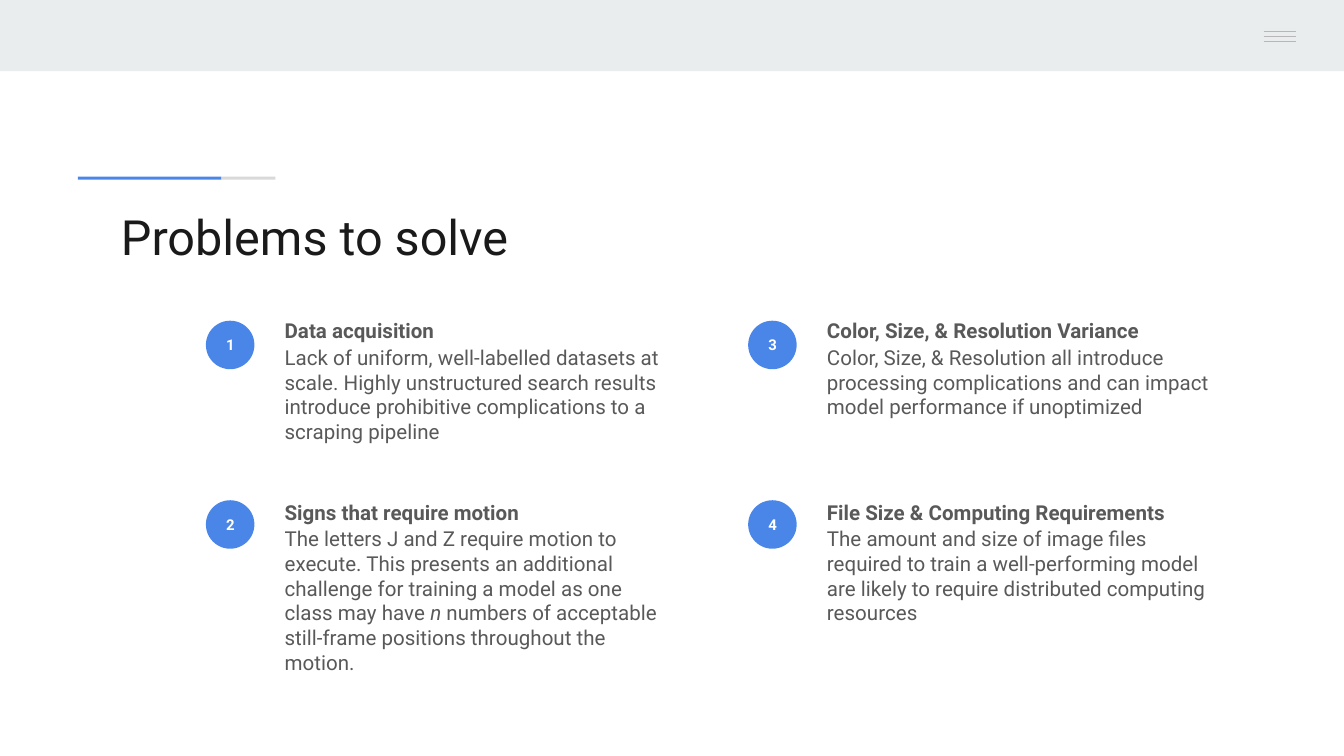
from pptx import Presentation
from pptx.dml.color import RGBColor
from pptx.enum.shapes import MSO_CONNECTOR, MSO_SHAPE
from pptx.enum.text import MSO_ANCHOR, MSO_AUTO_SIZE, PP_ALIGN
from pptx.util import Pt
from lxml import etree

RECT, OVAL = MSO_SHAPE.RECTANGLE, MSO_SHAPE.OVAL
STRAIGHT = MSO_CONNECTOR.STRAIGHT
TOP, MIDDLE = MSO_ANCHOR.TOP, MSO_ANCHOR.MIDDLE
LEFT, CENTER = PP_ALIGN.LEFT, PP_ALIGN.CENTER

BAND = RGBColor(0xE9, 0xED, 0xEE)
BLUE = RGBColor(0x4A, 0x86, 0xE8)
TRACK = RGBColor(0xD9, 0xD9, 0xD9)
MENU = RGBColor(0xB7, 0xB7, 0xB7)
INK = RGBColor(0x1A, 0x1A, 0x1A)
GREY = RGBColor(0x59, 0x59, 0x59)
WHITE = RGBColor(0xFF, 0xFF, 0xFF)
FONT = "Roboto"

TITLE = "Problems to solve"
# Heading, then body runs as (text, italic); the list fills the grid column by column.
PROBLEMS = [
    ("Data acquisition",
     [("Lack of uniform, well-labelled datasets at scale. Highly unstructured search "
       "results introduce prohibitive complications to a scraping pipeline", False)]),
    ("Signs that require motion",
     [("The letters J and Z require motion to execute. This presents an additional "
       "challenge for training a model as one class may have ", False),
      ("n", True),
      (" numbers of acceptable still-frame positions throughout the motion.", False)]),
    ("Color, Size, & Resolution Variance",
     [("Color, Size, & Resolution all introduce processing complications and can impact "
       "model performance if unoptimized", False)]),
    ("File Size & Computing Requirements",
     [("The amount and size of image files required to train a well-performing model "
       "are likely to require distributed computing resources", False)]),
]

ROWS = 2
COLUMN_LEFT, COLUMN_PITCH = 110.3, 290.5
BADGE_TOP, BADGE_PITCH, BADGE_SIZE = 171.8, 96.2, 26
TEXT_TOP, TEXT_PITCH, TEXT_OFFSET = 163.4, 97.2, 35.1
TEXT_WIDTH, TEXT_HEIGHT = 223, 83
MENU_TOP, MENU_GAP = 17, 2.6


def write(shape, paragraphs, *, size, color, align=LEFT, anchor=TOP):
    """Fill a shape with paragraphs, each a list of (text, bold, italic) runs."""
    frame = shape.text_frame
    frame.word_wrap = True
    frame.auto_size = MSO_AUTO_SIZE.NONE
    frame.vertical_anchor = anchor
    frame.margin_left = frame.margin_right = Pt(7.2)
    frame.margin_top = frame.margin_bottom = Pt(7.2)
    for index, runs in enumerate(paragraphs):
        paragraph = frame.add_paragraph() if index else frame.paragraphs[0]
        paragraph.alignment = align
        paragraph.space_before = paragraph.space_after = Pt(1 if index else 0)
        for text, bold, italic in runs:
            run = paragraph.add_run()
            run.text = text
            font = run.font
            font.name, font.size, font.bold, font.italic = FONT, Pt(size), bold, italic
            font.color.rgb = color


def add_filled(slide, kind, left, top, width, height, color):
    shape = slide.shapes.add_shape(kind, Pt(left), Pt(top), Pt(width), Pt(height))
    shape.shadow.inherit = False
    shape.fill.solid()
    shape.fill.fore_color.rgb = color
    shape.line.fill.background()
    return shape


def add_menu_line(slide, y):
    line = slide.shapes.add_connector(STRAIGHT, Pt(677), Pt(y), Pt(694.3), Pt(y))
    line.line.color.rgb = MENU
    line.line.width = Pt(0.75)
    properties = line.element.spPr
    namespace = properties.nsmap["a"]
    etree.SubElement(properties, f"{{{namespace}}}effectLst")


def add_problem(slide, index, heading, body):
    column, row = divmod(index, ROWS)
    left = COLUMN_LEFT + column * COLUMN_PITCH
    badge = add_filled(slide, OVAL, left, BADGE_TOP + row * BADGE_PITCH,
                       BADGE_SIZE, BADGE_SIZE, BLUE)
    write(badge, [[(str(index + 1), True, False)]],
          size=8, color=WHITE, align=CENTER, anchor=MIDDLE)
    description = slide.shapes.add_textbox(
        Pt(left + TEXT_OFFSET), Pt(TEXT_TOP + row * TEXT_PITCH),
        Pt(TEXT_WIDTH), Pt(TEXT_HEIGHT + (24 if len(body) > 1 else 0)))
    write(description,
          [[(heading, True, False)], [(text, False, italic) for text, italic in body]],
          size=11, color=GREY)


def main():
    deck = Presentation()
    deck.slide_width, deck.slide_height = Pt(720), Pt(405)
    slide = deck.slides.add_slide(deck.slide_layouts[5])

    add_filled(slide, RECT, 0, 0, 720, 38.2, BAND)
    add_filled(slide, RECT, 652.3, 0, 67.7, 36, BAND)
    add_filled(slide, RECT, 118.5, 94.7, 29, 1.6, TRACK)
    add_filled(slide, RECT, 41.8, 94.7, 76.7, 1.6, BLUE)
    for number in range(3):
        add_menu_line(slide, MENU_TOP + number * MENU_GAP)

    title = slide.shapes.title
    title.left, title.top, title.width, title.height = Pt(57.6), Pt(103.7), Pt(605.5), Pt(42.5)
    write(title, [[(TITLE, False, False)]], size=26, color=INK)

    for index, (heading, body) in enumerate(PROBLEMS):
        add_problem(slide, index, heading, body)

    deck.save("out.pptx")


if __name__ == "__main__":
    main()
